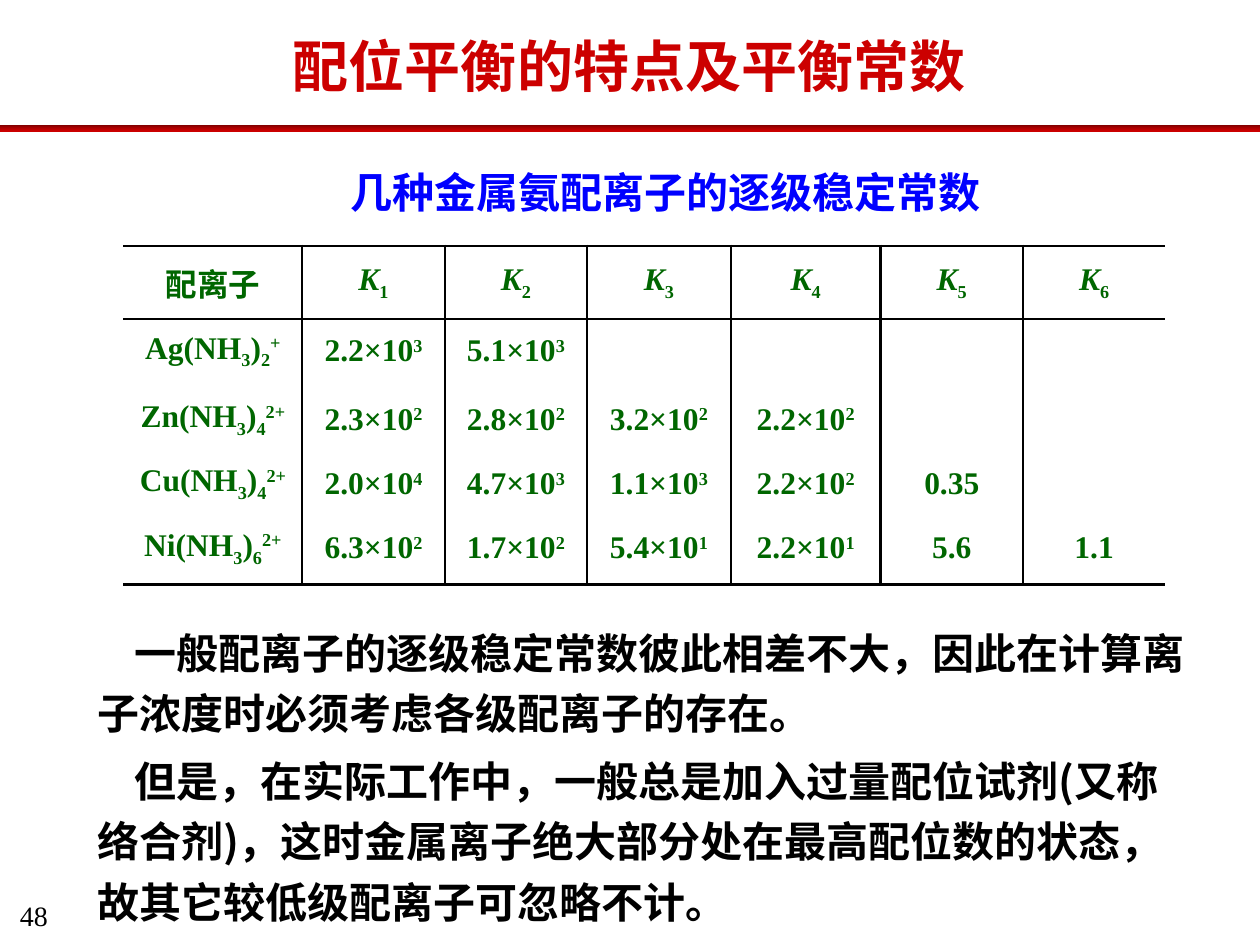
from copy import deepcopy
from dataclasses import dataclass

from pptx import Presentation
from pptx import oxml
from pptx import util as u
from pptx.dml.color import RGBColor
from pptx.enum import shapes, text
from pptx.oxml import ns


@dataclass(frozen=True)
class Theme:
    title: str = "CC0000"
    caption: str = "0000FF"
    table: str = "006600"
    ink: str = "000000"
    bar: tuple = ((0, "790000"), (0.5, "AC0000"), (1, "CC0000"))
    title_size: int = 32
    text_size: int = 24
    table_size: int = 18
    number_size: int = 16
    latin: str = "Times New Roman"
    chinese: str = "Noto Sans CJK SC"
    rule: float = 1.5


THEME = Theme()
COLUMNS = [1.42, 1.13, 1.13, 1.14, 1.19, 1.13, 1.13]
ROWS = [0.58, 0.51, 0.58, 0.44, 0.58]
CONSTANTS = [
    ["Ag(NH|_3|)|_2|^+", "2.2×10|^3", "5.1×10|^3"],
    ["Zn(NH|_3|)|_4|^2+", "2.3×10|^2", "2.8×10|^2", "3.2×10|^2", "2.2×10|^2"],
    ["Cu(NH|_3|)|_4|^2+", "2.0×10|^4", "4.7×10|^3", "1.1×10|^3", "2.2×10|^2", "0.35"],
    ["Ni(NH|_3|)|_6|^2+", "6.3×10|^2", "1.7×10|^2", "5.4×10|^1", "2.2×10|^1", "5.6", "1.1"],
]
CONCLUSIONS = [
    "一般配离子的逐级稳定常数彼此相差不大，因此在计算离子浓度时必须考虑各级配离子的存在。",
    "但是，在实际工作中，一般总是加入过量配位试剂(又称络合剂)，这时金属离子绝大部分处在最高配位数的状态，故其它较低级配离子可忽略不计。",
]


def apply(target, values):
    for name, value in values.items():
        setattr(target, name, value)


def place(shape, left, top, width, height):
    values = dict(left=left, top=top, width=width, height=height)
    apply(shape, {name: u.Inches(value) for name, value in values.items()})


def add_run(paragraph, words, size, color, bold=True, italic=False, latin=THEME.latin):
    run = paragraph.add_run()
    run.text = words
    apply(run.font, dict(size=u.Pt(size), bold=bold, italic=italic, name=latin))
    run.font.color.rgb = RGBColor.from_string(color)
    properties = run._r.get_or_add_rPr()
    east_asian = oxml.parse_xml(f'<a:ea {ns.nsdecls("a")} typeface="{THEME.chinese}"/>')
    properties.find(ns.qn("a:latin")).addnext(east_asian)
    return run


def fill_line(shape, words, size, color, align, anchor=text.MSO_ANCHOR.TOP, wrap=True, bold=True):
    apply(shape.text_frame, dict(word_wrap=wrap, vertical_anchor=anchor,
                                 auto_size=text.MSO_AUTO_SIZE.NONE))
    paragraph = shape.text_frame.paragraphs[0]
    paragraph.alignment = align
    add_run(paragraph, words, size, color, bold)


def add_label(slide, box, *line, **options):
    shape = slide.shapes.add_textbox(*map(u.Inches, box))
    fill_line(shape, *line, **options)


def add_bar(slide):
    bar = slide.shapes.add_shape(shapes.MSO_SHAPE.RECTANGLE,
                                 *map(u.Inches, (0, 0.99, 10, 0.05)))
    bar.shadow.inherit = False
    bar.line.fill.background()
    bar.fill.gradient()
    bar.fill.gradient_angle = 270
    first_stop = next(bar._element.iter(ns.qn("a:gs")))
    first_stop.addnext(deepcopy(first_stop))
    for stop, (position, color) in zip(bar.fill.gradient_stops, THEME.bar):
        stop.position = position
        stop.color.rgb = RGBColor.from_string(color)


def set_borders(cell, sides):
    properties = cell._tc.get_or_add_tcPr()
    for index, side in enumerate("LRTB"):
        paint = "<a:noFill/>"
        if side in sides:
            paint = f'<a:solidFill><a:srgbClr val="{THEME.ink}"/></a:solidFill>'
        properties.insert(index, oxml.parse_xml(
            f'<a:ln{side} {ns.nsdecls("a")} w="{u.Pt(THEME.rule)}">{paint}</a:ln{side}>'))


def fill_cell(cell, formula):
    apply(cell, dict(vertical_anchor=text.MSO_ANCHOR.MIDDLE,
                     margin_left=u.Inches(0.09), margin_right=u.Inches(0.09)))
    paragraph = cell.text_frame.paragraphs[0]
    paragraph.alignment = text.PP_ALIGN.CENTER
    baselines = {"_": "-25000", "^": "30000"}
    for part in formula.split("|"):
        run = add_run(paragraph, part.lstrip("_^"), THEME.table_size, THEME.table,
                      italic=part == "K")
        if part[0] in baselines:
            run._r.get_or_add_rPr().set("baseline", baselines[part[0]])


def add_constants_table(slide):
    header = ["配离子"] + [f"K|_{step}" for step in range(1, len(COLUMNS))]
    frame = slide.shapes.add_table(len(ROWS), len(COLUMNS), *map(
        u.Inches, (0.98, 1.95, sum(COLUMNS), sum(ROWS))))
    table = frame.table
    apply(table, dict(first_row=False, horz_banding=False))
    for column, width in zip(table.columns, COLUMNS):
        column.width = u.Inches(width)
    for row, height in zip(table.rows, ROWS):
        row.height = u.Inches(height)
    for row, formulas in enumerate([header] + CONSTANTS):
        for column in range(len(COLUMNS)):
            cell = table.cell(row, column)
            cell.fill.background()
            sides = {"L": column > 0, "R": column < len(COLUMNS) - 1,
                     "T": row < 2, "B": row in (0, len(ROWS) - 1)}
            set_borders(cell, [side for side, drawn in sides.items() if drawn])
            if column < len(formulas):
                fill_cell(cell, formulas[column])


def fill_body(body, paragraphs):
    place(body, 0.67, 4.85, 8.92, 2.61)
    frame = body.text_frame
    apply(frame, dict(word_wrap=True, auto_size=text.MSO_AUTO_SIZE.NONE))
    for index, words in enumerate(paragraphs):
        paragraph = frame.add_paragraph() if index else frame.paragraphs[0]
        properties = paragraph._p.get_or_add_pPr()
        properties.set("marL", "0")
        properties.set("indent", str(u.Inches(0.3)))
        properties.append(oxml.parse_xml(f'<a:buNone {ns.nsdecls("a")}/>'))
        apply(paragraph, dict(line_spacing=1.2, space_before=u.Pt(4 if index else 0)))
        add_run(paragraph, words, THEME.text_size, THEME.ink, latin=THEME.chinese)


def main():
    presentation = Presentation()
    apply(presentation, dict(slide_width=u.Inches(10), slide_height=u.Inches(7.5)))
    slide = presentation.slides.add_slide(presentation.slide_layouts[1])
    center = text.PP_ALIGN.CENTER
    title, body = slide.placeholders
    place(title, 1.69, 0.2, 6.61, 0.64)
    fill_line(title, "配位平衡的特点及平衡常数", THEME.title_size, THEME.title, center,
              anchor=text.MSO_ANCHOR.MIDDLE)
    add_bar(slide)
    add_label(slide, (2.64, 1.27, 5.28, 0.5), "几种金属氨配离子的逐级稳定常数",
              THEME.text_size, THEME.caption, center, wrap=False)
    add_constants_table(slide)
    fill_body(body, CONCLUSIONS)
    add_label(slide, (0.06, 7.08, 0.51, 0.37), "48", THEME.number_size, THEME.ink,
              text.PP_ALIGN.LEFT, bold=False)
    presentation.save("out.pptx")


if __name__ == "__main__":
    main()
